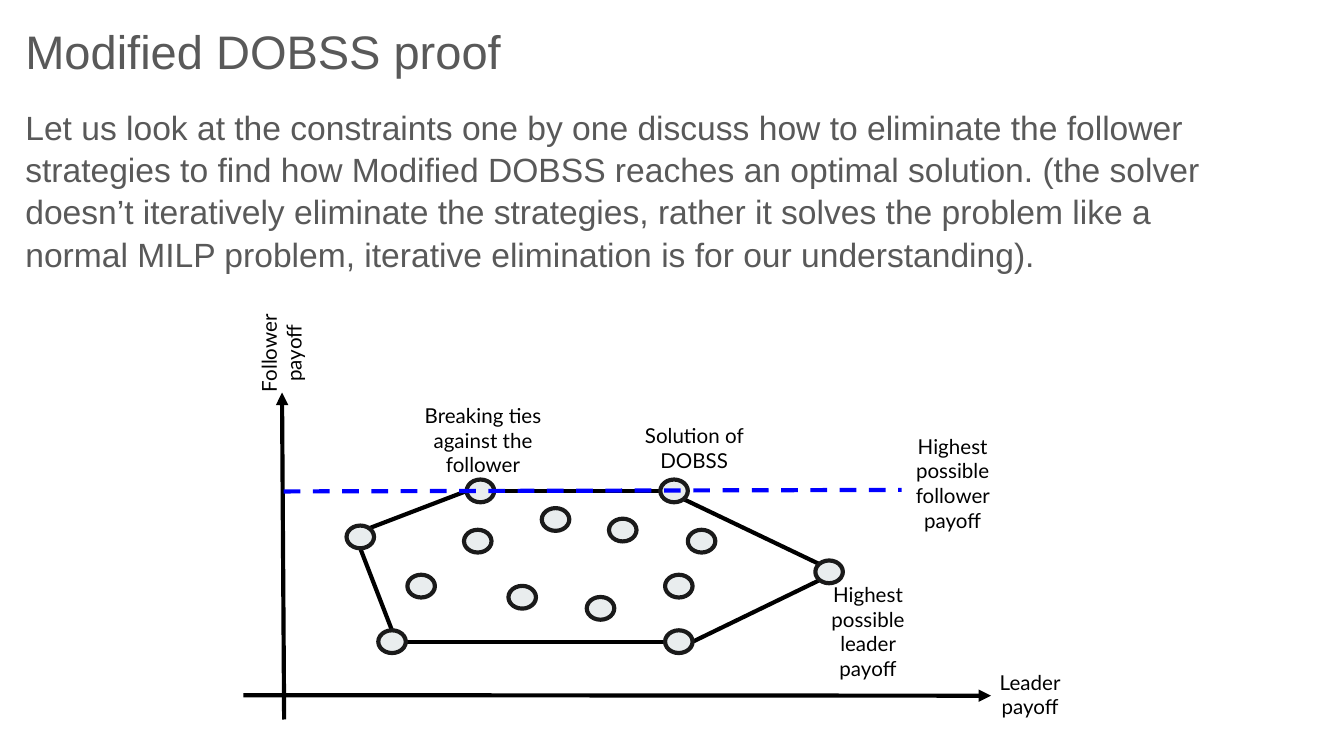
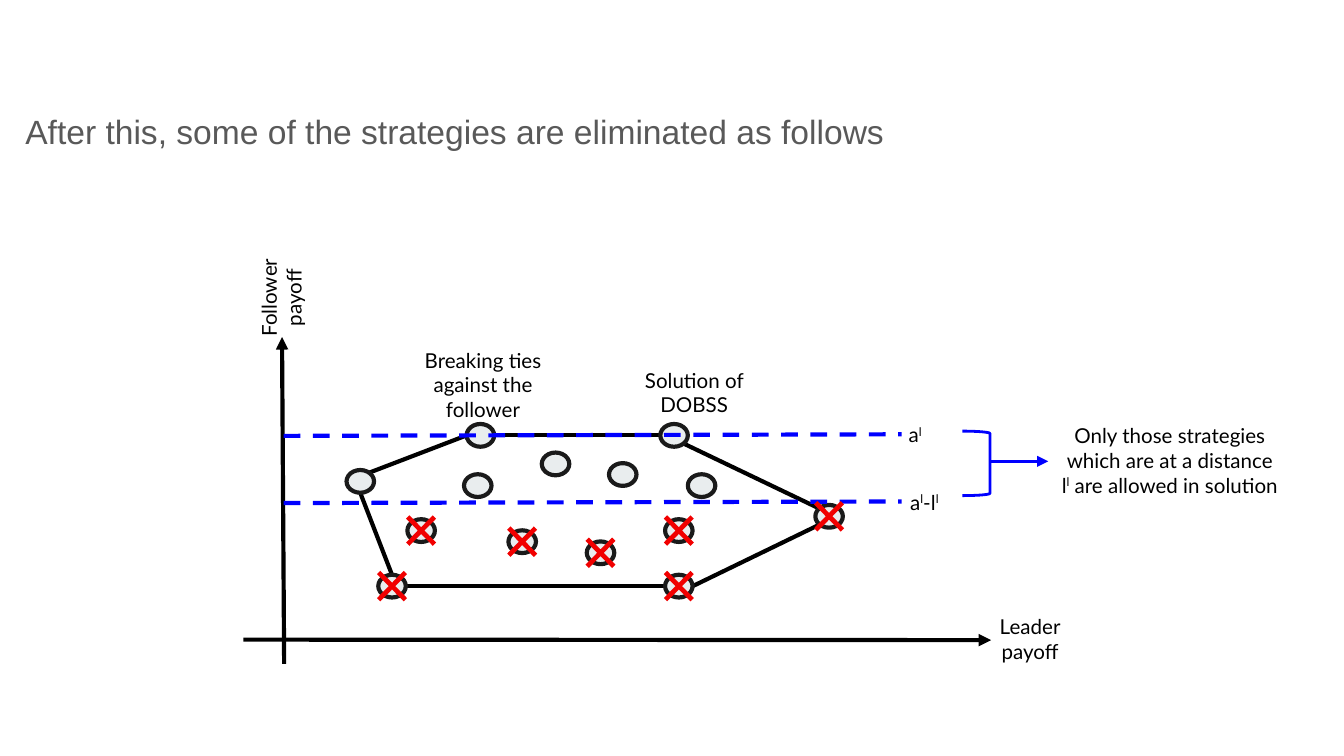
from lxml.etree import SubElement
from pptx import Presentation
from pptx.dml.color import RGBColor
from pptx.enum.dml import MSO_LINE_DASH_STYLE as Dash
from pptx.enum.shapes import MSO_CONNECTOR as Connector, MSO_SHAPE as Shape
from pptx.enum.text import MSO_AUTO_SIZE as AutoSize, PP_ALIGN as Align
from pptx.oxml.ns import qn
from pptx.util import Cm, Pt

COLORS = {
    "prose": "595959",
    "ink": "000000",
    "node_fill": "E9EDEE",
    "node_rim": "1A1A1A",
    "bound": "0000FF",
    "cross": "F10000",
}
MARGIN = 0.25
PROSE_LEFT, PROSE_WIDTH, BODY_TOP = 0.23, 23.67, 1.73
NODE_SIZE = (0.52, 0.43)
CROSS_SIZE = (0.97, 0.99)
BOUND_Y, BOUND_GAP = 9.29, 1.27
LIFT = 1.05

HULL_NODES = [(6.81, 10.15), (9.08, 9.28), (12.74, 9.28),
              (15.67, 10.81), (12.83, 12.13), (7.41, 12.13)]
INNER_NODES = [(9.03, 10.23), (9.87, 11.29), (11.77, 10.02), (10.5, 9.82),
               (12.83, 11.08), (7.96, 11.08), (13.26, 10.23), (11.35, 11.5)]
HULL_EDGES = [
    ((6.99, 9.98), (8.82, 9.28)),
    ((9.34, 9.28), (12.48, 9.28)),
    ((12.93, 9.44), (15.48, 10.66)),
    ((13.09, 12.13), (15.48, 10.97)),
    ((7.67, 12.13), (12.57, 12.13)),
    ((6.81, 10.37), (7.41, 11.92)),
]
AXES = [((5.37, 13.6), (5.33, 7.42)), ((4.6, 13.14), (18.73, 13.15))]


def rgb(color):
    """Look up a palette colour."""
    return RGBColor.from_string(COLORS[color])


def add_text(slide, box, paragraphs, font, size, color):
    """Add a wrapping text box; each paragraph is a list of (text, raised) runs."""
    textbox = slide.shapes.add_textbox(*map(Cm, box))
    frame = textbox.text_frame
    frame.word_wrap = True
    frame.margin_left = frame.margin_right = Cm(MARGIN)
    frame.margin_top = frame.margin_bottom = Cm(MARGIN)
    for index, pieces in enumerate(paragraphs):
        paragraph = frame.paragraphs[0] if index == 0 else frame.add_paragraph()
        for text, raised in pieces:
            run = paragraph.add_run()
            run.text = text
            run.font.name, run.font.size = font, Pt(size)
            run.font.color.rgb = rgb(color)
            if raised:
                run._r.get_or_add_rPr().set("baseline", "30000")
    return textbox


def add_prose(slide, top, height, text, size, spacing=1.0):
    """Add a left-aligned title or body text."""
    box = (PROSE_LEFT, top, PROSE_WIDTH, height)
    prose = add_text(slide, box, [[(text, False)]], "Arial", size, "prose")
    prose.text_frame.paragraphs[0].line_spacing = spacing


def add_label(slide, box, *lines, rotation=0):
    """Add a centred diagram label; ^ in a line switches superscript on or off."""
    paragraphs = [[(piece, index % 2 == 1)
                   for index, piece in enumerate(line.split("^")) if piece]
                  for line in lines]
    label = add_text(slide, box, paragraphs, "Lato", 11, "ink")
    label.rotation = rotation
    label.text_frame.auto_size = AutoSize.SHAPE_TO_FIT_TEXT
    for paragraph in label.text_frame.paragraphs:
        paragraph.alignment = Align.CENTER


def add_line(slide, start, end, color="ink", width=2.25, dashed=False, arrow=False):
    """Draw a straight line, optionally dashed or with an arrowhead."""
    line = slide.shapes.add_connector(Connector.STRAIGHT, *map(Cm, start + end))
    line.line.color.rgb = rgb(color)
    line.line.width = Pt(width)
    if dashed:
        line.line.dash_style = Dash.DASH
    properties = line._element.spPr
    if arrow:
        SubElement(properties.find(qn("a:ln")), qn("a:tailEnd"), type="triangle")
    SubElement(properties, qn("a:effectLst"))


def add_figure(slide, kind, box, fill=None, rim=None, width=2.25):
    """Add a preset shape with an optional fill and outline."""
    figure = slide.shapes.add_shape(kind, *map(Cm, box))
    figure.shadow.inherit = False
    if fill:
        figure.fill.solid()
        figure.fill.fore_color.rgb = rgb(fill)
    else:
        figure.fill.background()
    if rim:
        figure.line.color.rgb = rgb(rim)
        figure.line.width = Pt(width)
    else:
        figure.line.fill.background()
    return figure


def centred(point, size):
    """Return the box of a given size around a point."""
    return (point[0] - size[0] / 2, point[1] - size[1] / 2, *size)


def add_nodes(slide, nodes, lift):
    """Draw strategies as small ellipses."""
    for x, y in nodes:
        add_figure(slide, Shape.OVAL, centred((x, y - lift), NODE_SIZE),
                   "node_fill", "node_rim")


def add_bound(slide, y):
    """Draw a dashed follower payoff bound."""
    add_line(slide, (5.36, y), (17.04, y - 0.03), "bound", dashed=True)


def add_payoff_diagram(slide, lift=0):
    """Draw the axes, the strategies with their hull, and the shared labels."""
    for lines, arrow in ((HULL_EDGES, False), (AXES, True)):
        for (x1, y1), (x2, y2) in lines:
            add_line(slide, (x1, y1 - lift), (x2, y2 - lift), arrow=arrow)
    add_nodes(slide, HULL_NODES, lift)
    add_label(slide, (7.57, 7.37 - lift, 3.12, 1.93),
              "Breaking ties against the follower")
    add_label(slide, (11.56, 7.75 - lift, 3.12, 1.45), "Solution of DOBSS")
    add_label(slide, (4.09, 5.95 - lift, 2.46, 1.45),
              "Follower", "payoff", rotation=270)
    add_label(slide, (18.57, 12.41 - lift, 1.8, 1.45), "Leader", "payoff")
    add_bound(slide, BOUND_Y - lift)
    add_nodes(slide, INNER_NODES, lift)


def add_eliminations(slide, lift):
    """Cross out every strategy below the lower bound."""
    for x, y in HULL_NODES + INNER_NODES:
        if y > BOUND_Y + BOUND_GAP:
            cross = add_figure(slide, Shape.MATH_MULTIPLY,
                               centred((x, y - lift), CROSS_SIZE), "cross")
            cross.adjustments[0] = 0.092


def build_proof(slide):
    """Build the slide that introduces the proof."""
    add_prose(slide, 0.18, 1.6, "Modified DOBSS proof", 25.2)
    add_prose(slide, BODY_TOP, 3.86,
              "Let us look at the constraints one by one discuss how to eliminate "
              "the follower strategies to find how Modified DOBSS reaches an optimal "
              "solution. (the solver doesn’t iteratively eliminate the strategies, "
              "rather it solves the problem like a normal MILP problem, iterative "
              "elimination is for our understanding).", 18, 1.05)
    add_payoff_diagram(slide)
    add_label(slide, (15.16, 10.75, 2.49, 2.39), "Highest possible leader payoff")
    add_label(slide, (16.76, 7.95, 2.49, 2.39), "Highest possible follower payoff")


def build_elimination(slide):
    """Build the slide that shows the eliminated strategies."""
    add_prose(slide, BODY_TOP, 2.26,
              "After this, some of the strategies are eliminated as follows", 18, 1.15)
    add_payoff_diagram(slide, LIFT)
    add_bound(slide, BOUND_Y - LIFT + BOUND_GAP)
    add_label(slide, (16.81, 7.75, 0.97, 0.99), "a^l")
    add_label(slide, (16.81, 7.75 + BOUND_GAP, 1.32, 0.99), "a^l^-l^l")
    bracket = add_figure(slide, Shape.RIGHT_BRACKET, (18.19, 8.15, 0.52, 1.22),
                         rim="bound", width=1.5)
    bracket.adjustments[0] = 0.083
    add_line(slide, (18.7, 8.72), (19.81, 8.72), "bound", 1.5, arrow=True)
    add_label(slide, (19.81, 7.75, 4.6, 1.93),
              "Only those strategies which are at a distance l^l^ are allowed in solution")
    add_eliminations(slide, LIFT)


def main():
    """Build and save the deck."""
    deck = Presentation()
    deck.slide_width, deck.slide_height = Cm(25.4), Cm(14.29)
    for build in (build_proof, build_elimination):
        build(deck.slides.add_slide(deck.slide_layouts[6]))
    deck.save("out.pptx")


if __name__ == "__main__":
    main()
